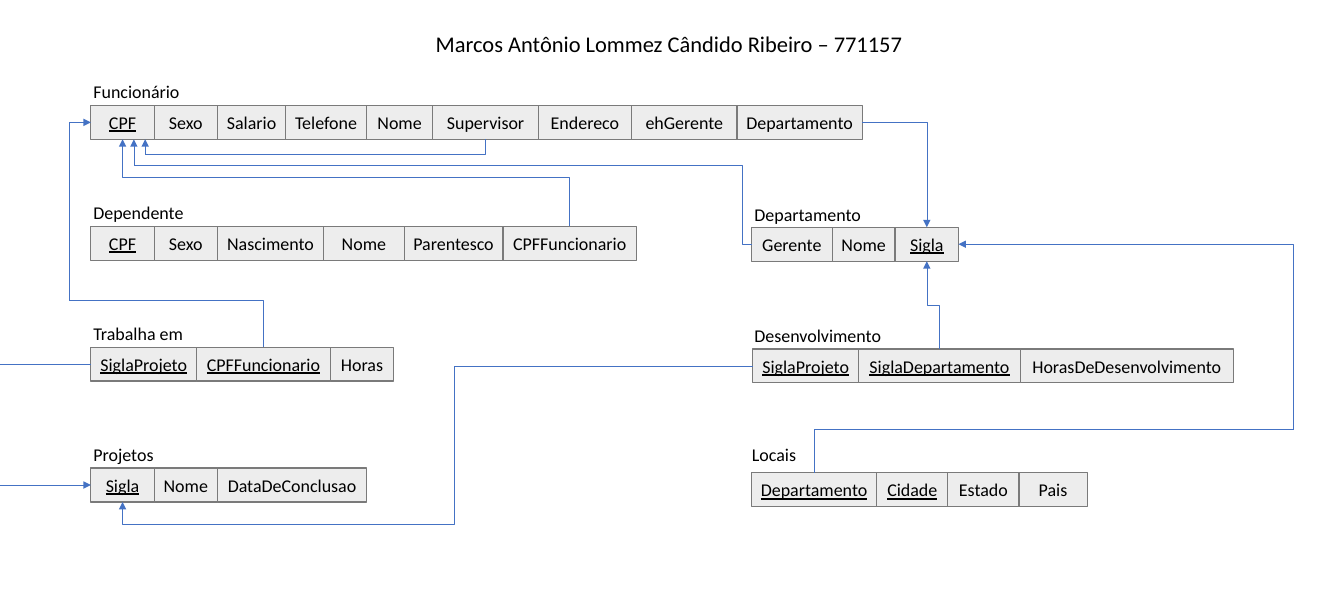
from dataclasses import dataclass

from lxml import etree
from pptx import Presentation
from pptx.dml.color import RGBColor
from pptx.enum.shapes import MSO_CONNECTOR, MSO_SHAPE
from pptx.enum.text import MSO_ANCHOR, MSO_AUTO_SIZE, PP_ALIGN
from pptx.oxml.ns import qn
from pptx.util import Cm, Pt

RECT = MSO_SHAPE.RECTANGLE
LINE, ELBOW = MSO_CONNECTOR.STRAIGHT, MSO_CONNECTOR.ELBOW
MIDDLE = MSO_ANCHOR.MIDDLE
GROW = MSO_AUTO_SIZE.SHAPE_TO_FIT_TEXT
LEFT, CENTER = PP_ALIGN.LEFT, PP_ALIGN.CENTER


@dataclass(frozen=True)
class Theme:
    font: str = "Calibri"
    text: str = "000000"
    fill: str = "EDEDED"
    edge: str = "7A7A7A"
    link: str = "4472C4"
    head: float = 18
    body: float = 14.4
    thick: float = 1
    thin: float = 0.5


THEME = Theme()

# Content: lengths in cm
WIDE, HIGH = 38, 17
BOX = 0.96
TITLE = "Marcos Antônio Lommez Cândido Ribeiro – 771157"

# Name, table corner, label corner and width, key fields, fields with widths
TABLES = [
    ("Funcionário", (2.57, 2.98), (2.39, 2.16, 2.97), {"CPF"},
     [("CPF", 1.79), ("Sexo", 1.79), ("Salario", 1.93), ("Telefone", 2.28),
      ("Nome", 1.88), ("Supervisor", 2.98), ("Endereco", 2.64),
      ("ehGerente", 2.98), ("Departamento", 3.54)]),
    ("Dependente", (2.57, 6.4), (2.39, 5.58, 3.1), {"CPF"},
     [("CPF", 1.79), ("Sexo", 1.79), ("Nascimento", 3), ("Nome", 2.28),
      ("Parentesco", 2.79), ("CPFFuncionario", 3.78)]),
    ("Trabalha em", (2.57, 9.82), (2.39, 9, 3.07),
     {"SiglaProjeto", "CPFFuncionario"},
     [("SiglaProjeto", 2.99), ("CPFFuncionario", 3.78), ("Horas", 1.79)]),
    ("Projetos", (2.57, 13.24), (2.39, 12.42, 2.24), {"Sigla"},
     [("Sigla", 1.79), ("Nome", 1.79), ("DataDeConclusao", 4.22)]),
    ("Departamento", (21.25, 6.43), (21.08, 5.64, 3.56), {"Sigla"},
     [("Gerente", 2.28), ("Nome", 1.78), ("Sigla", 1.79)]),
    ("Desenvolvimento", (21.28, 9.87), (21.08, 9.05, 4.14),
     {"SiglaProjeto", "SiglaDepartamento"},
     [("SiglaProjeto", 3), ("SiglaDepartamento", 4.57),
      ("HorasDeDesenvolvimento", 6.02)]),
    ("Locais", (21.25, 13.37), (21.01, 12.42, 1.78), {"Departamento", "Cidade"},
     [("Departamento", 3.54), ("Cidade", 2.01), ("Estado", 2.01),
      ("Pais", 1.93)]),
]

# Start, turns (x and y in turn), end, x shift, bend where a new line begins
CPF = ("Funcionário", "CPF", "bottom")
ROUTES = [
    (("Dependente", "CPFFuncionario", "top"), [5.02], CPF, 0, 0),
    (("Departamento", "Gerente", "left"), [20.99, 4.67], CPF, 0.32, 3),
    (("Funcionário", "Supervisor", "bottom"), [4.37], CPF, 0.64, 2),
    (("Trabalha em", "CPFFuncionario", "top"), [8.5, 1.96],
     ("Funcionário", "CPF", "left"), 0, 2),
    (("Funcionário", "Departamento", "right"), [],
     ("Departamento", "Sigla", "top"), 0, 0),
    (("Desenvolvimento", "SiglaDepartamento", "top"), [8.64],
     ("Departamento", "Sigla", "bottom"), 0, 0),
    (("Locais", "Departamento", "top"), [12.15, 36.58],
     ("Departamento", "Sigla", "right"), 0, 2),
    (("Desenvolvimento", "SiglaProjeto", "left"), [12.83, 14.83],
     ("Projetos", "Sigla", "bottom"), 0, 0),
]

# Place on the box and number of the joint
SIDES = {"top": (0.5, 0, 0), "left": (0, 0.5, 1),
         "bottom": (0.5, 1, 2), "right": (1, 0.5, 3)}

deck = Presentation()
deck.slide_width, deck.slide_height = Cm(WIDE), Cm(HIGH)
slide = deck.slides.add_slide(deck.slide_layouts[6])
shapes = slide.shapes
spots = {}


def color(code):
    return RGBColor.from_string(code)


def write(shape, text, size, align, key=False):
    shape.text_frame.word_wrap = False
    para = shape.text_frame.paragraphs[0]
    para.text = text
    para.alignment = align
    font = para.font
    font.name, font.size = THEME.font, Pt(size)
    font.color.rgb = color(THEME.text)
    if key:
        font.underline = True


def label(text, x, y, w, h, size):
    box = shapes.add_textbox(Cm(x), Cm(y), Cm(w), Cm(h))
    box.text_frame.auto_size = GROW
    write(box, text, size, LEFT)


def field(text, x, y, w, key):
    box = shapes.add_shape(RECT, Cm(x), Cm(y), Cm(w), Cm(BOX))
    box.shadow.inherit = False
    box.fill.solid()
    box.fill.fore_color.rgb = color(THEME.fill)
    box.line.color.rgb = color(THEME.edge)
    box.line.width = Pt(THEME.thick)
    box.text_frame.vertical_anchor = MIDDLE
    write(box, text, THEME.body, CENTER, key)
    return box


def joint(table, name, side):
    x, y, w, box = spots[table, name]
    across, down, site = SIDES[side]
    return (x + w * across, y + BOX * down), (box.shape_id, site)


def turned(point, start, quarter):
    u, v = point[0] - start[0], point[1] - start[1]
    for _ in range(quarter):
        u, v = v, -u
    return u, v


def trace(points, arrow=True, glue=(None, None)):
    start, end = points[0], points[-1]
    kind, quarter, bends = LINE, 0, len(points) - 2
    ends = start + end
    if bends:
        # Turn the frame so that the first stretch runs to the right
        kind = ELBOW
        dx, dy = turned(points[1], start, 0)
        quarter = (0 if dx > 0 else 2) if abs(dx) > abs(dy) else (1 if dy > 0 else 3)
        u, v = turned(end, start, quarter)
        x, y = (start[0] + end[0]) / 2, (start[1] + end[1]) / 2
        ends = x - u / 2, y - v / 2, x + u / 2, y + v / 2
    line = shapes.add_connector(kind, *map(Cm, ends))
    line.line.color.rgb = color(THEME.link)
    line.line.width = Pt(THEME.thin)
    props = line.element.spPr
    if bends:
        props.find(qn("a:xfrm")).set("rot", str(quarter * 5400000))
        form = props.find(qn("a:prstGeom"))
        form.set("prst", f"bentConnector{bends + 1}")
        for i in range(1, bends):
            axis = (i - 1) % 2
            part = turned(points[i], start, quarter)[axis] / (u, v)[axis]
            etree.SubElement(form.find(qn("a:avLst")), qn("a:gd"),
                             name=f"adj{i}" if bends > 1 else "adj",
                             fmla=f"val {round(part * 100000)}")
    joints = line.element.find(".//" + qn("p:cNvCxnSpPr"))
    for tag, spot in zip(("a:stCxn", "a:endCxn"), glue):
        if spot:
            etree.SubElement(joints, qn(tag), id=str(spot[0]), idx=str(spot[1]))
    if arrow:
        etree.SubElement(props.find(qn("a:ln")), qn("a:tailEnd"), type="triangle")
    etree.SubElement(props, qn("a:effectLst"))


def bend(start, side, turns, end):
    axis = 0 if side in ("left", "right") else 1
    points = [start]
    for turn in turns + [end[axis ^ len(turns) % 2]]:
        spot = list(points[-1])
        spot[axis] = turn
        points.append(tuple(spot))
        axis = 1 - axis
    return points + [end]


# Title
label(TITLE, 12.07, 0.72, 13.87, 1.02, THEME.head)

# Tables
for table, (x, y), (left, top, wide), keys, fields in TABLES:
    label(table, left, top, wide, 0.86, THEME.body)
    for name, w in fields:
        spots[table, name] = x, y, w, field(name, x, y, w, name in keys)
        x += w

# References between tables
for source, turns, goal, shift, cut in ROUTES:
    start, tie = joint(*source)
    (x, y), knot = joint(*goal)
    points = bend(start, source[2], turns, (x + shift, y))
    knot = None if shift else knot
    if cut:
        trace(points[:cut + 1], False, (tie, None))
        trace(points[cut:], True, (None, knot))
    else:
        trace(points, True, (tie, knot))

# Reference that runs by the left edge
(x, y), tie = joint("Trabalha em", "SiglaProjeto", "left")
trace([(x, y), (0, y)], False)
(x, y), knot = joint("Projetos", "Sigla", "left")
trace([(0, y), (x, y)])

deck.save("out.pptx")
